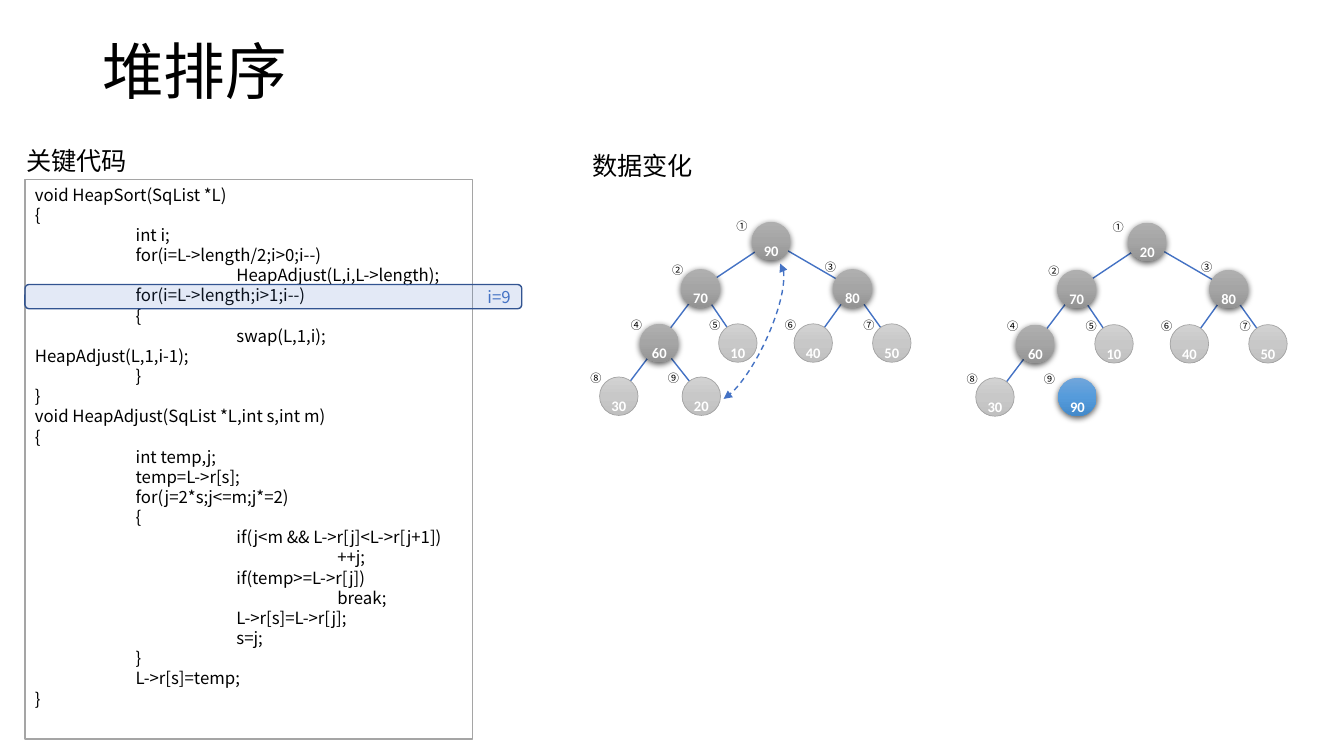
from lxml import etree
from pptx import Presentation
from pptx import util as u
from pptx.dml.color import RGBColor
from pptx.enum import dml, shapes, text
from pptx.oxml.ns import qn

BLACK = RGBColor(0, 0, 0)
WHITE = RGBColor(255, 255, 255)
GREY = RGBColor(0xA5, 0xA5, 0xA5)
BLUE = RGBColor(0x44, 0x72, 0xC4)
NAVY = RGBColor(0x32, 0x54, 0x91)
CJK, LATIN = "Noto Sans CJK SC", "Calibri"

HEADINGS = [("关键代码", 0.41, 3.48), ("数据变化", 14.68, 3.61)]
CODE = [
    (0, "void HeapSort(SqList *L)"),
    (0, "{"),
    (1, "int i;"),
    (1, "for(i=L->length/2;i>0;i--)"),
    (2, "HeapAdjust(L,i,L->length);"),
    (1, "for(i=L->length;i>1;i--)"),
    (1, "{"),
    (2, "swap(L,1,i);"),
    (0, "HeapAdjust(L,1,i-1);"),
    (1, "}"),
    (0, "}"),
    (0, "void HeapAdjust(SqList *L,int s,int m)"),
    (0, "{"),
    (1, "int temp,j;"),
    (1, "temp=L->r[s];"),
    (1, "for(j=2*s;j<=m;j*=2)"),
    (1, "{"),
    (2, "if(j<m && L->r[j]<L->r[j+1])"),
    (3, "++j;"),
    (2, "if(temp>=L->r[j])"),
    (3, "break;"),
    (2, "L->r[s]=L->r[j];"),
    (2, "s=j;"),
    (1, "}"),
    (1, "L->r[s]=temp;"),
    (0, "}"),
]
STYLES = {
    "inner": (("AFAFAF", "A5A5A5", "939393"), True),
    "leaf": (("D2D2D2", "C8C8C8", "C0C0C0"), False),
    "sorted": (("71A6DB", "559BDB", "448ACA"), True),
}
NODE_X = [3.84, 2.06, 5.89, 1.02, 3.0, 4.9, 6.88, 0, 2.08]
LEVEL_Y = [0, 1.19, 2.57, 3.91]
BADGES = "①②③④⑤⑥⑦⑧⑨"
BADGE_SHIFT = {1: (-0.64, -0.2), 3: (-0.46, -0.38), 9: (-0.61, -0.28)}
USUAL_SHIFT = (-0.48, -0.28)
EDGES = [(3, 7), (1, 2), (3, 6), (2, 5), (4, 9), (1, 3), (2, 8)]
HEAPS = [
    (15.11, 5.59, [90, 70, 80, 60, 10, 40, 50, 30, 20], "leaf", EDGES),
    (24.59, 5.61, [20, 70, 80, 60, 10, 40, 50, 30, 90], "sorted",
     [edge for edge in EDGES if edge != (4, 9)]),
]
DIAMETER = 0.97
TAB = 2.54

deck = Presentation()
deck.slide_width, deck.slide_height = u.Cm(33.87), u.Cm(19.05)
slide = deck.slides.add_slide(deck.slide_layouts[6])


def box(*lengths):
    return [u.Cm(length) for length in lengths]


def add(parent, tag, **attributes):
    return etree.SubElement(parent, qn("a:" + tag), attributes)


def write(paragraph, words, size, color, font=CJK):
    run = paragraph.add_run()
    run.text = words
    run.font.size = u.Pt(size)
    run.font.color.rgb = color
    run.font.name = font
    add(run.font._element, "ea", typeface=font)
    return run


def label(words, size, *lengths, wrap=False):
    frame = slide.shapes.add_textbox(*box(*lengths)).text_frame
    frame.word_wrap = wrap
    write(frame.paragraphs[0], words, size, BLACK)
    frame.paragraphs[0].line_spacing = u.Pt(1.28 * size)
    return frame


def preset(kind, *lengths, parent=slide.shapes):
    part = parent.add_shape(kind, *box(*lengths))
    part.shadow.inherit = False
    return part


def outline(part, color, width=1):
    part.line.color.rgb = color
    part.line.width = u.Pt(width)


def draw_node(x, y, value, style):
    stops, raised = STYLES[style]
    group = slide.shapes.add_group_shape()
    disc = preset(shapes.MSO_SHAPE.OVAL, x, y, DIAMETER, DIAMETER, parent=group.shapes)
    disc.fill.gradient()
    disc.fill.gradient_angle = 270
    properties = disc._element.spPr
    stop_list = properties.find(qn("a:gradFill")).find(qn("a:gsLst"))
    for stop in list(stop_list):
        stop_list.remove(stop)
    for position, color in zip((0, 50000, 100000), stops):
        add(add(stop_list, "gs", pos=str(position)), "srgbClr", val=color)
    if raised:
        disc.line.fill.background()
        shadow = add(properties.find(qn("a:effectLst")), "outerShdw", blurRad="57150",
                     dist="19050", dir="5400000", algn="ctr", rotWithShape="0")
        add(add(shadow, "srgbClr", val="000000"), "alpha", val="63000")
    else:
        outline(disc, GREY, 0.5)
    frame = group.shapes.add_textbox(*box(x, y - 0.05, DIAMETER, 0.76)).text_frame
    frame.word_wrap = True
    frame.paragraphs[0].alignment = text.PP_ALIGN.CENTER
    number = write(frame.paragraphs[0], str(value), 18, WHITE, LATIN)
    number.font.bold = True
    number.font._element.set("baseline", "-25000")


def draw_heap(left, top, values, last_style, edges):
    spots = {n: (left + x, top + LEVEL_Y[n.bit_length() - 1])
             for n, x in enumerate(NODE_X, 1)}
    for ends in edges:
        centres = [c + DIAMETER / 2 for n in ends for c in spots[n]]
        edge = slide.shapes.add_connector(shapes.MSO_CONNECTOR.STRAIGHT, *box(*centres))
        outline(edge, BLUE)
        add(edge._element.spPr, "effectLst")
    for n, value in enumerate(values, 1):
        style = "inner" if n <= 4 else last_style if n == 9 else "leaf"
        draw_node(*spots[n], value, style)
    for n, badge in enumerate(BADGES, 1):
        dx, dy = BADGE_SHIFT.get(n, USUAL_SHIFT)
        label(badge, 8, spots[n][0] + dx, spots[n][1] + dy, 0.79, 0.61)


title = label("堆排序", 44, 2.33, 0.03, 29.21, 3.68, wrap=True)
title.vertical_anchor = text.MSO_ANCHOR.MIDDLE
title.paragraphs[0].line_spacing = 0.9

listing = preset(shapes.MSO_SHAPE.RECTANGLE, 0.63, 4.52, 11.28, 14.1)
listing.fill.solid()
listing.fill.fore_color.rgb = WHITE
outline(listing, GREY)
listing.text_frame.word_wrap = True
listing.text_frame.vertical_anchor = text.MSO_ANCHOR.TOP
for row, (depth, statement) in enumerate(CODE):
    frame = listing.text_frame
    line = frame.add_paragraph() if row else frame.paragraphs[0]
    line.alignment = text.PP_ALIGN.LEFT
    line.line_spacing = u.Pt(14.4)
    line._p.get_or_add_pPr().set("marL", str(u.Cm(depth * TAB)))
    write(line, statement, 12, BLACK)

current = preset(shapes.MSO_SHAPE.ROUNDED_RECTANGLE, 0.63, 7.17, 12.52, 0.61)
current.fill.solid()
current.fill.fore_color.rgb = BLUE
add(current._element.spPr.find(qn("a:solidFill"))[0], "alpha", val="15000")
outline(current, NAVY)
current.text_frame.vertical_anchor = text.MSO_ANCHOR.MIDDLE
current.text_frame.paragraphs[0].alignment = text.PP_ALIGN.RIGHT
write(current.text_frame.paragraphs[0], "i=9", 12, BLUE)

for heading, left, top in HEADINGS:
    label(heading, 18, left, top, 3.05, 1.02)
for heap in HEAPS:
    draw_heap(*heap)

swap = preset(shapes.MSO_SHAPE.ARC, 18.26, 6.43, 1.09, 3.84)
swap.rotation = 24.9
swap.adjustments[0], swap.adjustments[1] = 163.04, 50.13
swap.fill.background()
outline(swap, BLUE)
swap.line.dash_style = dml.MSO_LINE.DASH
for end in ("headEnd", "tailEnd"):
    add(swap._element.spPr.find(qn("a:ln")), end, type="triangle")

deck.save("out.pptx")
